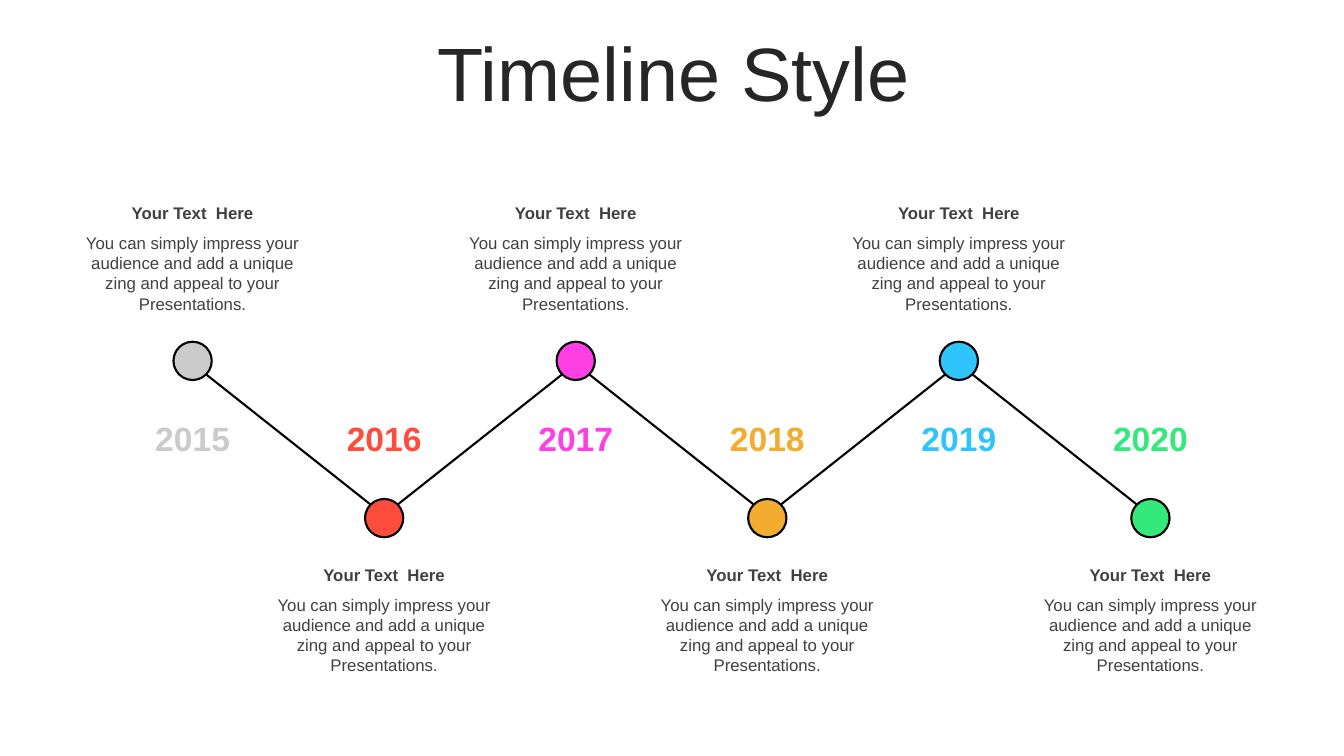
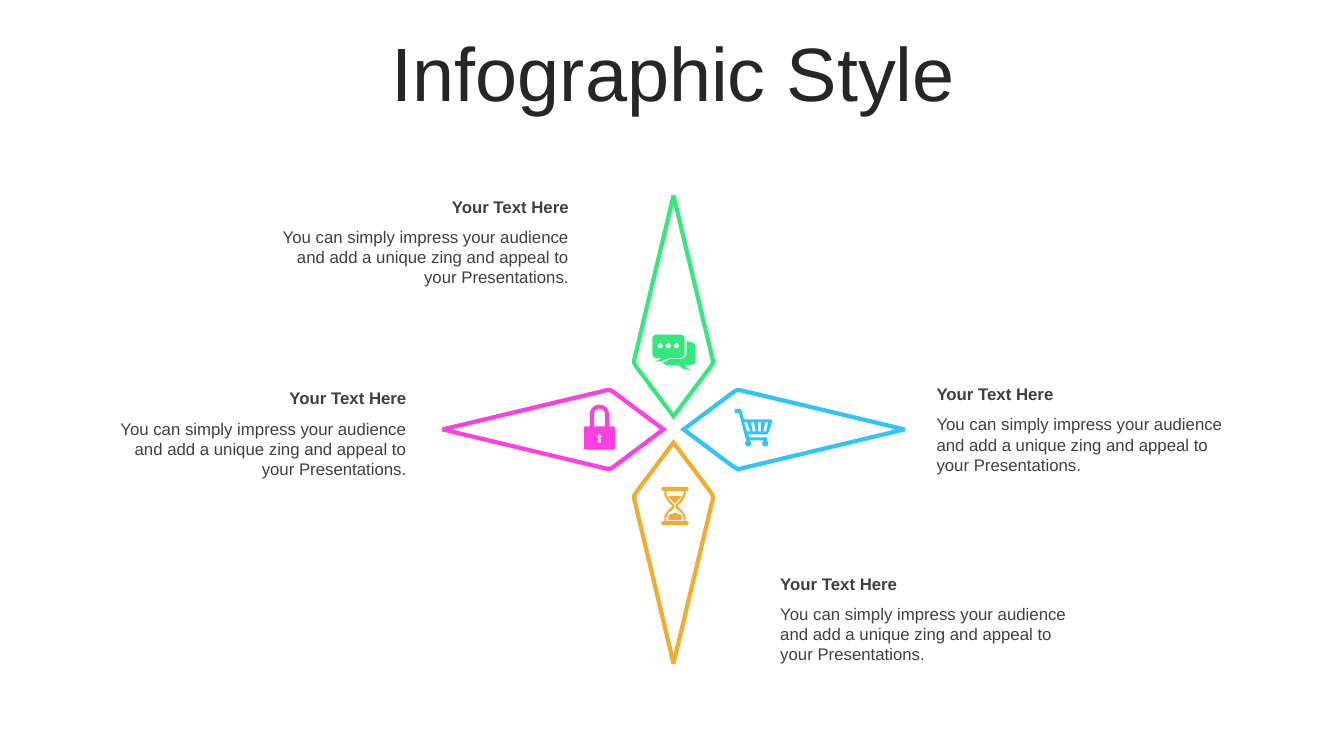
from dataclasses import dataclass
from math import cos, radians, sin

from lxml.etree import SubElement
from pptx import Presentation
from pptx.dml.color import RGBColor
from pptx.enum.shapes import MSO_CONNECTOR as Connector, MSO_SHAPE as Shape
from pptx.enum.text import MSO_ANCHOR as Anchor, PP_ALIGN as Align
from pptx.oxml.ns import qn
from pptx.util import Inches, Pt


@dataclass(frozen=True)
class Theme:
    font: str = "Arial"
    title: str = "262626"
    text: str = "404040"
    outline: str = "000000"
    gray: str = "CBCBCB"
    red: str = "FE4D3B"
    pink: str = "FE3FE4"
    orange: str = "F2AC30"
    blue: str = "2FC5FA"
    green: str = "33E97C"
    title_size: int = 54
    year_size: int = 24
    text_size: int = 12
    thin: float = 1.5
    thick: float = 3


THEME = Theme()
BODY = ("You can simply impress your audience and add a unique zing "
        "and appeal to your Presentations.")


def color(value):
    return RGBColor.from_string(value)


def add_text(page, bounds, text, size, ink, align=Align.LEFT, bold=False):
    box = page.shapes.add_textbox(*map(Inches, bounds))
    frame = box.text_frame
    frame.word_wrap = True
    frame.text = text
    para = frame.paragraphs[0]
    para.alignment = align
    span = para.runs[0]
    span.font.name = THEME.font
    span.font.size = Pt(size)
    span.font.bold = bold
    span.font.color.rgb = color(ink)
    return frame


def add_title(page, text):
    frame = add_text(page, (0.35, 0.37, 12.66, 0.79), text,
                     THEME.title_size, THEME.title, Align.CENTER)
    frame.vertical_anchor = Anchor.MIDDLE
    frame.paragraphs[0].line_spacing = 0.9


def add_caption(page, left, top, width, height, heading, align):
    heading_height = 0.3
    add_text(page, (left, top, width, heading_height), heading,
             THEME.text_size, THEME.text, align, True)
    add_text(page, (left, top + heading_height, width, height - heading_height),
             BODY, THEME.text_size, THEME.text, align)


def add_milestone(page, x, y, radius, fill):
    dot = page.shapes.add_shape(
        Shape.OVAL, Inches(x - radius), Inches(y - radius),
        Inches(2 * radius), Inches(2 * radius))
    dot.shadow.inherit = False
    dot.fill.solid()
    dot.fill.fore_color.rgb = color(fill)
    dot.line.color.rgb = color(THEME.outline)
    dot.line.width = Pt(THEME.thin)


def add_link(page, start, end, radius):
    inset = radius * cos(radians(45))
    drop = inset if end[1] > start[1] else -inset
    points = (start[0] + inset, start[1] + drop, end[0] - inset, end[1] - drop)
    link = page.shapes.add_connector(Connector.STRAIGHT, *map(Inches, points))
    link.line.color.rgb = color(THEME.outline)
    link.line.width = Pt(THEME.thin)
    SubElement(link._element.spPr, qn("a:effectLst"))


def add_timeline(page, left, top):
    step, drop, radius = 1.9, 1.56, 0.19
    caption_width, caption_height = 2.49, 1.21
    year_width, year_height = 1.01, 0.5
    milestones = [
        ("2015", THEME.gray), ("2016", THEME.red), ("2017", THEME.pink),
        ("2018", THEME.orange), ("2019", THEME.blue), ("2020", THEME.green)]
    centers = [(left + step * index, top + drop * (index % 2))
               for index in range(len(milestones))]
    for start, end in zip(centers, centers[1:]):
        add_link(page, start, end, radius)
    for (x, y), (year, fill) in zip(centers, milestones):
        add_milestone(page, x, y, radius, fill)
        add_text(page, (x - year_width / 2, top + 0.52, year_width, year_height),
                 year, THEME.year_size, fill, Align.CENTER, True)
        offset = 0.41 if y > top else -1.62
        add_caption(page, x - caption_width / 2, y + offset, caption_width,
                    caption_height, "Your Text  Here", Align.CENTER)


def add_outline(page, left, top, contours):
    placed = [[(Inches(left + x), Inches(top + y)) for x, y in contour]
              for contour in contours]
    builder = page.shapes.build_freeform(*placed[0][0], scale=1.0)
    for index, contour in enumerate(placed):
        if index:
            builder.move_to(*contour[0])
        builder.add_line_segments(contour[1:], close=True)
    figure = builder.convert_to_shape()
    figure.shadow.inherit = False
    return figure


def arc(x, y, radius, start=0, sweep=360, steps=24):
    angles = [radians(start + sweep * step / steps) for step in range(steps + 1)]
    return [(x + radius * cos(angle), y + radius * sin(angle)) for angle in angles]


def rounded(left, top, width, height, radius):
    right, bottom = left + width - radius, top + height - radius
    corners = [(left + radius, top + radius), (right, top + radius),
               (right, bottom), (left + radius, bottom)]
    return [point for index, (x, y) in enumerate(corners)
            for point in arc(x, y, radius, 180 + 90 * index, 90, 6)]


def mirrored(half, axis):
    return half + [(2 * axis - x, y) for x, y in reversed(half)]


def chat_icon():
    tail = [(0.09, 0.23), (0.17, 0.23), (0.1, 0.26), (0.02, 0.27), (0.06, 0.25)]
    back = [(0.34, 0.07), (0.38, 0.07), (0.42, 0.09), (0.43, 0.12), (0.43, 0.26),
            (0.42, 0.29), (0.38, 0.3), (0.33, 0.3), (0.34, 0.33), (0.39, 0.35),
            (0.31, 0.34), (0.25, 0.3), (0.14, 0.3), (0.1, 0.28), (0.18, 0.24),
            (0.29, 0.24), (0.33, 0.22), (0.34, 0.19)]
    dots = [arc(x, 0.11, 0.025) for x in (0.08, 0.16, 0.24)]
    return [rounded(0, 0, 0.32, 0.23, 0.04), tail, back, *dots]


def cart_icon():
    frame = [(0, 0), (0.06, 0), (0.09, 0.1), (0.36, 0.1), (0.37, 0.12),
             (0.33, 0.24), (0.31, 0.25), (0.13, 0.25), (0.14, 0.28),
             (0.32, 0.28), (0.32, 0.31), (0.11, 0.31), (0.04, 0.04), (0, 0.04)]
    slots = [[(upper, 0.13), (upper + 0.03, 0.13), (lower + 0.03, 0.22), (lower, 0.22)]
             for upper, lower in ((0.09, 0.12), (0.16, 0.175), (0.23, 0.23), (0.3, 0.28))]
    wheels = [arc(x, 0.34, 0.03) for x in (0.13, 0.3)]
    return [frame, *slots, *wheels]


def hourglass_icon():
    axis = 0.135
    caps = [rounded(0, y, 0.27, 0.04, 0.02) for y in (0, 0.34)]
    outer = [(0.24, 0.04), (0.24, 0.08), (0.21, 0.14), (0.16, 0.19),
             (0.21, 0.24), (0.24, 0.29), (0.24, 0.34)]
    inner = [(0.22, 0.04), (0.22, 0.07), (0.19, 0.13), (0.14, 0.18),
             (0.14, 0.21), (0.2, 0.26), (0.22, 0.3), (0.22, 0.34)]
    upper_sand = [(0.2, 0.09), (0.19, 0.11), (0.14, 0.16)]
    lower_sand = [(0.14, 0.26), (0.2, 0.28), (0.2, 0.33)]
    return caps + [mirrored(half, axis)
                   for half in (outer, inner, upper_sand, lower_sand)]


def lock_icon():
    x = 0.155
    shackle = [(x - 0.095, 0.22), *arc(x, 0.1, 0.095, 180, 180), (x + 0.095, 0.22),
               (x + 0.055, 0.22), *arc(x, 0.1, 0.055, 0, -180), (x - 0.055, 0.22)]
    keyhole = [(x - 0.01, 0.34), (x + 0.01, 0.34), (x + 0.02, 0.38), (x - 0.02, 0.38)]
    return [rounded(0, 0.22, 0.31, 0.23, 0.02), shackle, arc(x, 0.32, 0.02), keyhole]


def add_petal(page, x, y, turn, gap, ink):
    half = [(0, 0.02), (0.36, 0.5), (0.38, 0.53), (0.39, 0.55),
            (0.39, 0.58), (0, 2.21)]
    across, along = cos(radians(turn)), sin(radians(turn))
    points = [(side * across + (reach + gap) * along,
               side * along - (reach + gap) * across)
              for side, reach in half + [(-side, reach) for side, reach in half[-2:0:-1]]]
    petal = add_outline(page, x, y, [points])
    petal.fill.background()
    petal.line.color.rgb = color(ink)
    petal.line.width = Pt(THEME.thick)
    SubElement(petal.line._get_or_add_ln(), qn("a:miter"), lim="800000")


def add_icon(page, left, top, contours, fill):
    icon = add_outline(page, left, top, contours)
    icon.fill.solid()
    icon.fill.fore_color.rgb = color(fill)
    icon.line.fill.background()


def add_star(page, x, y):
    petals = [
        (0, 0.11, THEME.green, chat_icon, (-0.21, -0.94)),
        (90, 0.08, THEME.blue, cart_icon, (0.61, -0.2)),
        (180, 0.11, THEME.orange, hourglass_icon, (-0.12, 0.57)),
        (270, 0.08, THEME.pink, lock_icon, (-0.89, -0.25))]
    for turn, gap, ink, icon, (across, down) in petals:
        add_petal(page, x, y, turn, gap, ink)
        add_icon(page, x + across, y + down, icon(), ink)


def build_timeline_page(page):
    add_title(page, "Timeline Style")
    add_timeline(page, 1.91, 3.58)


def build_infographic_page(page):
    add_title(page, "Infographic Style")
    add_star(page, 6.68, 4.26)
    captions = [(2.59, 1.9, Align.RIGHT), (0.98, 3.8, Align.RIGHT),
                (7.64, 5.64, Align.LEFT), (9.19, 3.76, Align.LEFT)]
    for left, top, align in captions:
        add_caption(page, left, top, 3.15, 1.01, "Your Text Here", align)


def main():
    deck = Presentation()
    deck.slide_width, deck.slide_height = Inches(13.33), Inches(7.5)
    for build in (build_timeline_page, build_infographic_page):
        build(deck.slides.add_slide(deck.slide_layouts[6]))
    deck.save("out.pptx")


if __name__ == "__main__":
    main()
